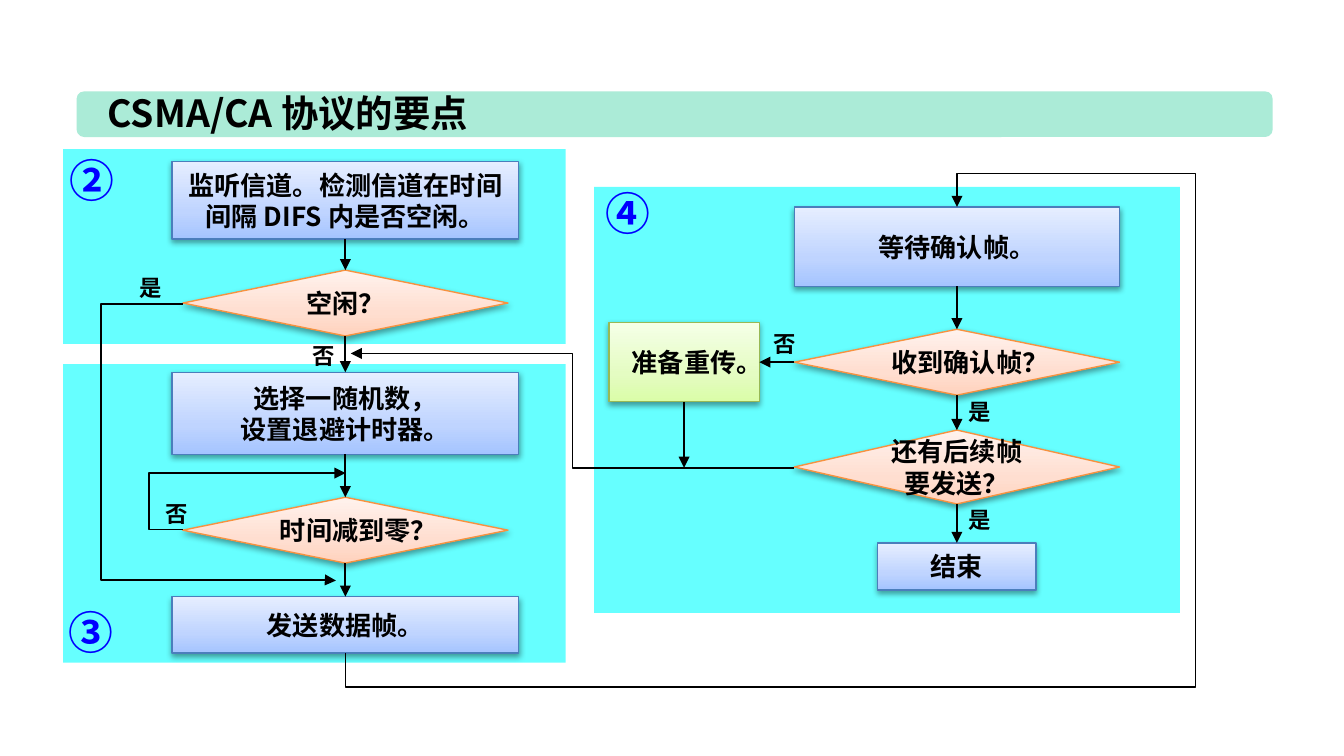
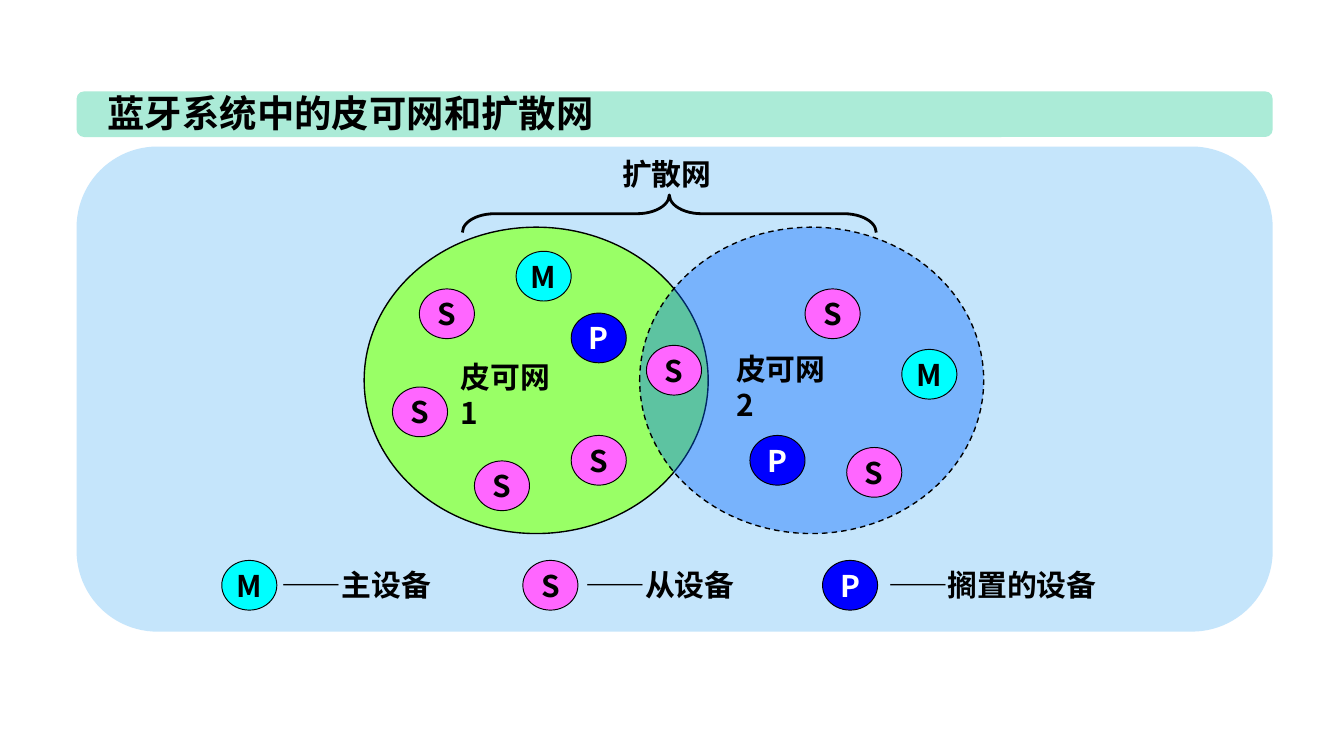
from copy import deepcopy
from dataclasses import dataclass

from lxml.etree import SubElement
from pptx import Presentation
from pptx.dml.color import RGBColor
from pptx.enum.dml import MSO_LINE as Dash
from pptx.enum.shapes import MSO_CONNECTOR as Connector, MSO_SHAPE as Preset
from pptx.enum.text import MSO_ANCHOR as Anchor, MSO_AUTO_SIZE as AutoSize, PP_ALIGN as Align
from pptx.oxml.ns import qn
from pptx.util import Pt

EMU_PER_PX = 9144  # 100 px to the inch
SLIDE_WIDTH = 1000
ASPECT = 16, 9


@dataclass(frozen=True)
class Theme:
    font: str = "Noto Sans CJK SC"
    ink: str = "000000"
    white: str = "FFFFFF"
    number: str = "0000FF"
    band: str = "ABEBD7"
    zone: str = "66FFFF"
    panel: str = "C5E5FB"
    piconet1: str = "99FF66"
    piconet2: str = "0066FF"
    title_size: int = 20
    number_size: int = 24
    device_size: int = 16
    node_size: int = 14
    label_size: int = 12


THEME = Theme()

# Node styles: gradient from bottom to top, and outline
STEP = Preset.RECTANGLE, ("A4C4FF", "BFD4FF", "E6EEFF"), "4B7EBC"
CHOICE = Preset.DIAMOND, ("FFD2BD", "FFDED0", "FFF2ED"), "F69240"
RETRY = Preset.RECTANGLE, ("DAFDA7", "E4FCC2", "F5FFE7"), "98B955"
GRADIENT_POSITIONS = 0, 0.35, 1

# Slide 1 content
FLOW_TITLE = "CSMA/CA 协议的要点", 308
ZONES = [(442, 139, 436, 317), (47, 271, 374, 222), (47, 111, 374, 145)]
NUMBERS = [("②", 42, 109), ("③", 41, 445), ("④", 441, 133)]
NODES = {
    "listen": (STEP, (128, 120, 258, 58), ["监听信道。检测信道在时间间隔 DIFS 内是否空闲。"]),
    "idle": (CHOICE, (136, 201, 242, 49), ["空闲？"]),
    "backoff": (STEP, (128, 277, 258, 61), ["选择一随机数，", "设置退避计时器。"]),
    "countdown": (CHOICE, (136, 370, 242, 49), ["时间减到零？"]),
    "send": (STEP, (128, 444, 258, 42), ["发送数据帧。"]),
    "wait": (STEP, (591, 154, 242, 59), ["等待确认帧。"]),
    "acked": (CHOICE, (591, 245, 242, 49), ["收到确认帧？"]),
    "more": (CHOICE, (591, 320, 242, 55), ["还有后续帧要发送？"]),
    "end": (STEP, (653, 404, 118, 35), ["结束"]),
    "resend": (RETRY, (453, 240, 112, 59), ["准备重传。"]),
}
COLUMNS = [("listen", "idle", "backoff", "countdown", "send"),
           ("wait", "acked", "more", "end")]
RESEND_EXIT = 509, 348
# Preset, start, end, rotation, flips, bends
BENT_ARROWS = [
    ("bentConnector5", (257, 486), (712, 154), 90, "HV", (-0.075, 1.39, 1.075)),
    ("bentConnector3", (591, 348), (261, 263), 180, "", (0.5,)),
    ("bentConnector3", (136, 394), (257, 352), 180, "H", (-0.207,)),
    ("bentConnector4", (136, 226), (250, 432), 180, "HV", (-0.536, 0.998)),
]
ANSWERS = [("是", 711, 291), ("是", 711, 372), ("是", 94, 199),
           ("否", 113, 367), ("否", 223, 250), ("否", 566, 241)]

# Slide 2 content
PICONET_TITLE = "蓝牙系统中的皮可网和扩散网", 393
PANEL = 57, 109, 890, 361
PICONETS = [(271, 169, 256, 228), (476, 169, 256, 228)]
DEVICE_COLORS = {"M": ("00FFFF", THEME.ink), "S": ("FF66FF", THEME.ink),
                 "P": ("0000FF", THEME.white)}
DEVICES = {
    "M": [(384, 187), (671, 260)],
    "S": [(292, 288), (312, 215), (481, 257), (425, 324),
          (353, 343), (630, 333), (599, 215)],
    "P": [(558, 324), (425, 233)],
}
DEVICE_SIZE = 41, 37
SCATTERNET = "扩散网", (453, 111, 88, 37)
PICONET_NAMES = [("皮可网 1", (333, 262, 100, 37)), ("皮可网 2", (538, 256, 100, 37))]
BRACE = 484, 5, 28, 308
LEGEND_TOP = 417
LEGEND = [("M", 165, "——主设备", 200, 136), ("S", 389, "——从设备", 426, 136),
          ("P", 612, "——搁置的设备", 651, 181)]


def emu(*lengths):
    return [round(length * EMU_PER_PX) for length in lengths]


def rgb(color):
    return RGBColor.from_string(color)


def assign(target, values):
    for name, value in values.items():
        setattr(target, name, value)


def write(shape, lines, size, color=THEME.ink, align=Align.LEFT, **frame_format):
    """Fill a shape with bold paragraphs."""
    frame = shape.text_frame
    assign(frame, frame_format)
    for index, line in enumerate(lines):
        paragraph = frame.add_paragraph() if index else frame.paragraphs[0]
        paragraph.alignment = align
        run = paragraph.add_run()
        run.text = line
        assign(run.font, {"size": Pt(size), "bold": True, "name": THEME.font})
        run.font.color.rgb = rgb(color)
        SubElement(run.font._element, qn("a:ea"), typeface=THEME.font)


def add_text(slide, text, box, size, color=THEME.ink, wrap=False):
    fit = AutoSize.NONE if wrap else AutoSize.SHAPE_TO_FIT_TEXT
    write(slide.shapes.add_textbox(*emu(*box)), [text], size, color,
          word_wrap=wrap, auto_size=fit)


def add_shape(slide, preset, box, fill=None, line=None, width=0.75):
    shape = slide.shapes.add_shape(preset, *emu(*box))
    shape.shadow.inherit = False
    if fill:
        shape.fill.solid()
        shape.fill.fore_color.rgb = rgb(fill)
    else:
        shape.fill.background()
    if line:
        shape.line.color.rgb = rgb(line)
        shape.line.width = Pt(width)
    else:
        shape.line.fill.background()
    return shape


def add_title(slide, text, width):
    """Draw the shared band and set the title on it."""
    add_shape(slide, Preset.ROUNDED_RECTANGLE, (57, 68, 890, 34), THEME.band)
    title = slide.shapes.title
    slide.shapes._spTree.append(title._element)
    assign(title, dict(zip(("left", "top", "width", "height"), emu(70, 62, width, 44))))
    write(title, [text], THEME.title_size, word_wrap=False,
          vertical_anchor=Anchor.TOP, auto_size=AutoSize.SHAPE_TO_FIT_TEXT)


def add_node(slide, style, box, lines):
    preset, colors, outline = style
    node = add_shape(slide, preset, box, line=outline)
    # Gradient with three stops
    node.fill.gradient()
    node.fill.gradient_angle = 90
    stops = node._element.spPr.find(".//" + qn("a:gsLst"))
    stops.insert(1, deepcopy(stops[0]))
    for stop, position, color in zip(node.fill.gradient_stops, GRADIENT_POSITIONS, colors):
        stop.position = position
        stop.color.rgb = rgb(color)
    # Soft shadow below
    effects = node._element.spPr.find(qn("a:effectLst"))
    shadow = SubElement(effects, qn("a:outerShdw"), blurRad="40000", dist="20000",
                        dir="5400000", rotWithShape="0")
    shade = SubElement(shadow, qn("a:srgbClr"), val=THEME.ink)
    SubElement(shade, qn("a:alpha"), val="38000")
    write(node, lines, THEME.node_size, align=Align.CENTER,
          word_wrap=True, vertical_anchor=Anchor.MIDDLE)
    return node


def add_arrow(slide, kind, start, end):
    arrow = slide.shapes.add_connector(kind, *emu(*start, *end))
    arrow.line.color.rgb = rgb(THEME.ink)
    arrow.line.width = Pt(1)
    SubElement(arrow.line._get_or_add_ln(), qn("a:tailEnd"), type="triangle")
    SubElement(arrow._element.spPr, qn("a:effectLst"))
    return arrow


def join(slide, source, source_side, target=None, target_side=0, point=(0, 0)):
    arrow = add_arrow(slide, Connector.STRAIGHT, point, point)
    arrow.begin_connect(source, source_side)
    if target:
        arrow.end_connect(target, target_side)


def add_bent_arrow(slide, preset, start, end, rotation, flips, bends):
    (left, right), (top, bottom) = map(sorted, zip(start, end))
    if rotation == 90:  # the frame is stored before its quarter turn
        center_x, center_y = (left + right) / 2, (top + bottom) / 2
        half_width, half_height = (bottom - top) / 2, (right - left) / 2
        left, right = center_x - half_width, center_x + half_width
        top, bottom = center_y - half_height, center_y + half_height
    arrow = add_arrow(slide, Connector.ELBOW, (left, top), (right, bottom))
    arrow.rotation = rotation
    frame = arrow._element.spPr.find(qn("a:xfrm"))
    for flip in flips:
        frame.set("flip" + flip, "1")
    geometry = arrow._element.spPr.find(qn("a:prstGeom"))
    geometry.set("prst", preset)
    guides = geometry.find(qn("a:avLst"))
    for number, bend in enumerate(bends, 1):
        name = "adj" if len(bends) == 1 else f"adj{number}"
        name = f"adj{number}"
        SubElement(guides, qn("a:gd"), name=name, fmla=f"val {round(bend * 100000)}")


def add_device(slide, letter, left, top):
    fill, color = DEVICE_COLORS[letter]
    device = add_shape(slide, Preset.OVAL, (left, top, *DEVICE_SIZE), fill, THEME.ink, 0.5)
    write(device, [letter], THEME.device_size, color, Align.CENTER,
          word_wrap=False, vertical_anchor=Anchor.MIDDLE)


def build_flow(slide):
    for zone in ZONES:
        add_shape(slide, Preset.RECTANGLE, zone, THEME.zone)
    add_title(slide, *FLOW_TITLE)
    for number, left, top in NUMBERS:
        add_text(slide, number, (left, top, 50, 50), THEME.number_size, THEME.number)
    nodes = {name: add_node(slide, *parts) for name, parts in NODES.items()}
    # Straight arrows down each column, then around the resend step
    for column in COLUMNS:
        for upper, lower in zip(column, column[1:]):
            join(slide, nodes[upper], 2, nodes[lower], 0)
    join(slide, nodes["acked"], 1, nodes["resend"], 3)
    join(slide, nodes["resend"], 2, point=RESEND_EXIT)
    for arrow in BENT_ARROWS:
        add_bent_arrow(slide, *arrow)
    for answer, left, top in ANSWERS:
        add_text(slide, answer, (left, top, 37, 30), THEME.label_size)


def build_piconets(slide):
    add_title(slide, *PICONET_TITLE)
    add_shape(slide, Preset.ROUNDED_RECTANGLE, PANEL, THEME.panel)
    # Overlapping networks, the second one see-through
    add_shape(slide, Preset.OVAL, PICONETS[0], THEME.piconet1, THEME.ink)
    second = add_shape(slide, Preset.OVAL, PICONETS[1], THEME.piconet2, THEME.ink)
    second.line.dash_style = Dash.DASH
    color = second._element.spPr.find(qn("a:solidFill")).find(qn("a:srgbClr"))
    SubElement(color, qn("a:alpha"), val="39000")
    for letter, places in DEVICES.items():
        for place in places:
            add_device(slide, letter, *place)
    # Names and brace
    add_text(slide, *SCATTERNET, THEME.device_size)
    for name, box in PICONET_NAMES:
        add_text(slide, name, box, THEME.device_size, wrap=True)
    brace = add_shape(slide, Preset.RIGHT_BRACE, BRACE, line=THEME.ink, width=1.5)
    brace.rotation = 270
    brace.adjustments[0] = 0.86
    # Legend
    for letter, left, text, text_left, text_width in LEGEND:
        add_device(slide, letter, left, LEGEND_TOP)
        add_text(slide, text, (text_left, LEGEND_TOP, text_width, 37), THEME.device_size)


def main():
    presentation = Presentation()
    across, down = ASPECT
    presentation.slide_width, presentation.slide_height = emu(
        SLIDE_WIDTH, SLIDE_WIDTH * down / across)
    title_only = presentation.slide_layouts[5]
    for build in (build_flow, build_piconets):
        build(presentation.slides.add_slide(title_only))
    presentation.save("out.pptx")


if __name__ == "__main__":
    main()
